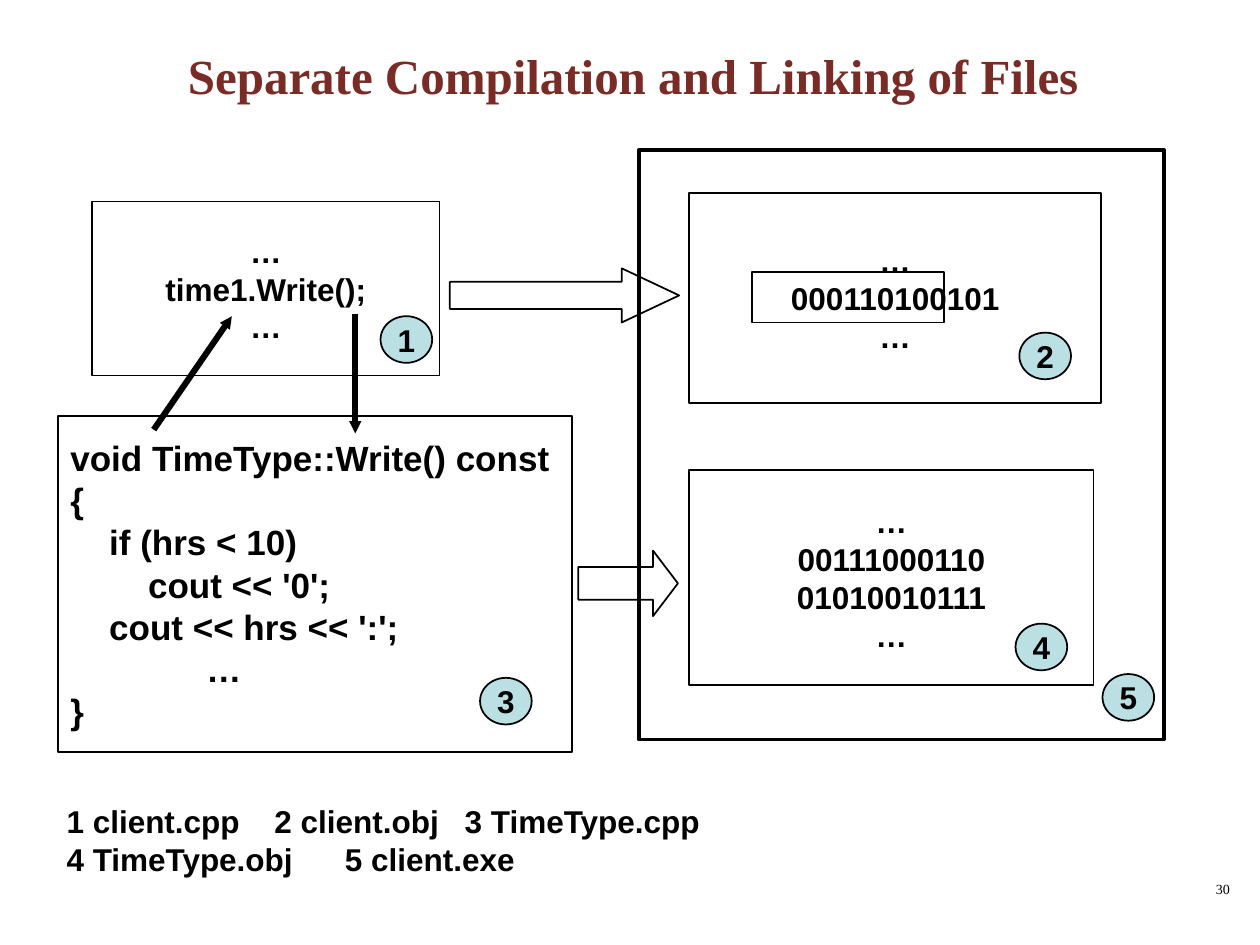
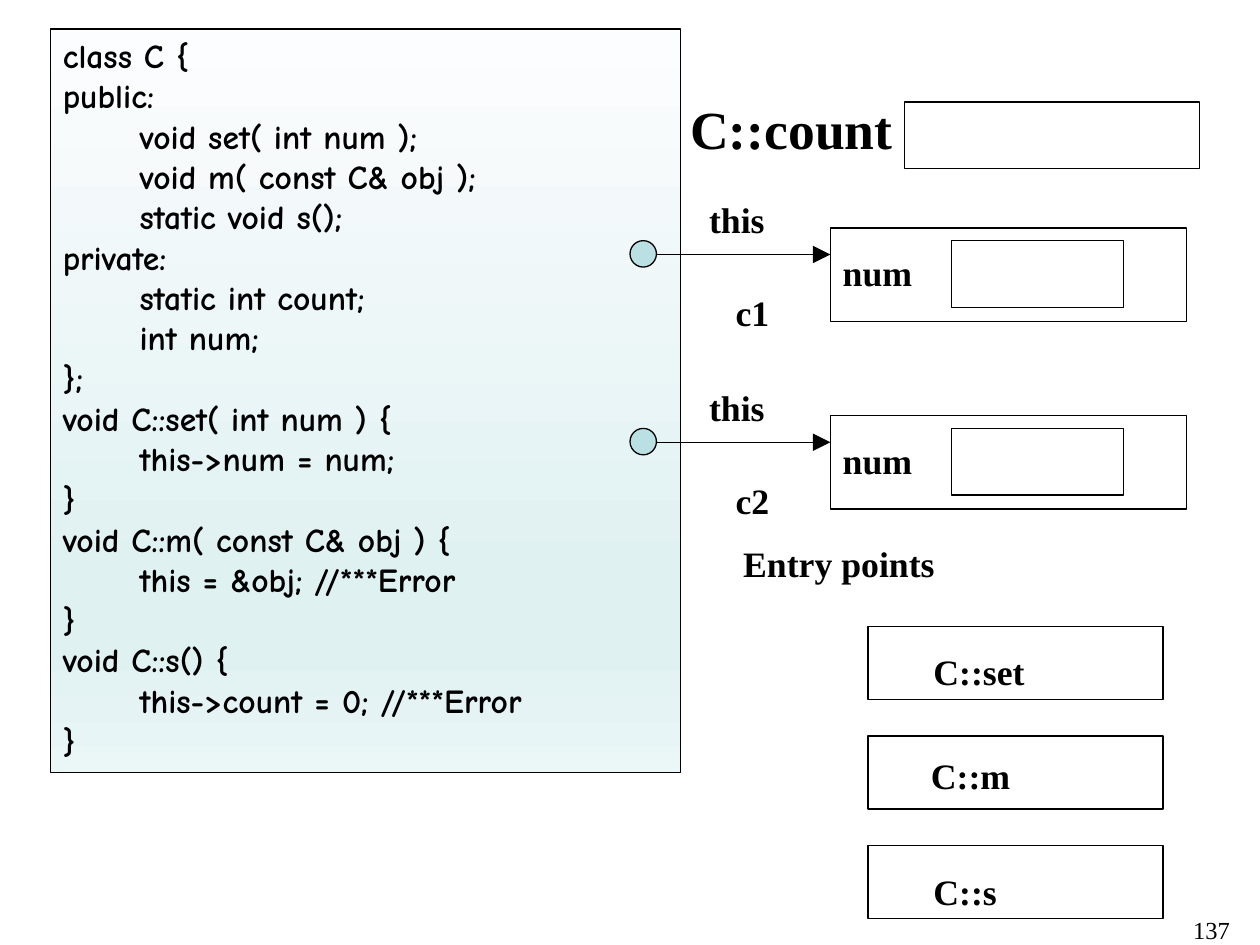
from dataclasses import dataclass
from typing import Any

from lxml import etree
from pptx import Presentation
from pptx.dml.color import RGBColor
from pptx.enum import shapes, text
from pptx.oxml.ns import qn
from pptx.util import Inches, Pt

# Shared look
BLACK, BROWN, TEAL = "000000", "792B25", "BBE0E3"
SANS, SERIF, COMIC = "Arial", "Times New Roman", "Comic Neue"
LEFT, MID, RIGHT = text.PP_ALIGN.LEFT, text.PP_ALIGN.CENTER, text.PP_ALIGN.RIGHT
RECT, OVAL, ARROW = (shapes.MSO_SHAPE.RECTANGLE, shapes.MSO_SHAPE.OVAL,
                     shapes.MSO_SHAPE.RIGHT_ARROW)
TOP, CENTER = text.MSO_ANCHOR.TOP, text.MSO_ANCHOR.MIDDLE
Box = tuple[float, float, float, float]
Point = tuple[float, float]


@dataclass
class Type:
    size: float
    name: str = SERIF
    align: Any = LEFT
    anchor: Any = TOP
    bold: bool = True
    color: str = BLACK
    wrap: bool = False


@dataclass
class Part:
    at: Box
    words: str = ""
    type: Type | None = None
    kind: Any = RECT
    fill: str | None = None
    line: float = 1


BINARY = Type(18, SANS, MID, CENTER)
CODE = Type(20, SANS, LEFT, CENTER)
KEY = Type(18, SANS, LEFT, CENTER)
TITLE = Type(28, SERIF, MID, CENTER, color=BROWN, wrap=True)
LISTING = Type(19.2, COMIC, wrap=True)
LABEL, LARGE = Type(20.4), Type(30.6)


def paint(code: str) -> RGBColor:
    return RGBColor.from_string(code)


def apply(target: Any, values: dict[str, Any]) -> None:
    for name, value in values.items():
        setattr(target, name, value)


def place(shape: Any, at: Box) -> None:
    apply(shape, dict(zip(("left", "top", "width", "height"), map(Inches, at))))


def write(shape: Any, words: str, kind: Type, stops: dict[int, list[float]] | None = None) -> None:
    """Fill a shape with one paragraph a line; stops maps line number to tabs."""
    frame = shape.text_frame
    apply(frame, {"word_wrap": kind.wrap, "vertical_anchor": kind.anchor})
    for row, line in enumerate(words.split("\n")):
        para = frame.paragraphs[0] if row == 0 else frame.add_paragraph()
        para.alignment = kind.align
        if stops and row in stops:
            tabs = etree.SubElement(para._p.get_or_add_pPr(), qn("a:tabLst"))
            for stop in stops[row]:
                etree.SubElement(tabs, qn("a:tab"), pos=str(Inches(stop)), algn="l")
        run = para.add_run()
        run.text = line
        apply(run.font, {"size": Pt(kind.size), "name": kind.name, "bold": kind.bold})
        run.font.color.rgb = paint(kind.color)


def label(slide: Any, at: Box, words: str, kind: Type = LABEL,
          stops: dict[int, list[float]] | None = None) -> None:
    write(slide.shapes.add_textbox(*map(Inches, at)), words, kind, stops)


def draw(slide: Any, part: Part) -> Any:
    shape = slide.shapes.add_shape(part.kind, *map(Inches, part.at))
    shape.shadow.inherit = False
    if part.fill:
        shape.fill.solid()
        shape.fill.fore_color.rgb = paint(part.fill)
    else:
        shape.fill.background()
    shape.line.color.rgb = paint(BLACK)
    shape.line.width = Pt(part.line)
    if part.type:
        write(shape, part.words, part.type)
    return shape


def arrow(slide: Any, start: Point, end: Point, width: float, head: str) -> None:
    link = slide.shapes.add_connector(shapes.MSO_CONNECTOR.STRAIGHT,
                                      *map(Inches, start + end))
    link.line.color.rgb = paint(BLACK)
    link.line.width = Pt(width)
    etree.SubElement(link.line._get_or_add_ln(), qn("a:tailEnd"),
                     type="triangle", w=head, len=head)
    etree.SubElement(link._element.spPr, qn("a:effectLst"))


def shade(shape: Any, stops: list[tuple[int, str]]) -> None:
    """Vertical gradient from (percent, colour) stops."""
    shape.fill.gradient()
    shape.fill.gradient_angle = 270
    group = shape._element.spPr.find(".//" + qn("a:gsLst"))
    for old in list(group):
        group.remove(old)
    for percent, code in stops:
        stop = etree.SubElement(group, qn("a:gs"), pos=str(percent * 1000))
        etree.SubElement(stop, qn("a:srgbClr"), val=code)


def number(slide: Any, at: Box, words: str, size: float) -> None:
    label(slide, at, words, Type(size, align=RIGHT, bold=False, wrap=True))


# Slide 1: compiling and linking
WRITE = """void TimeType::Write() const
{
    if (hrs < 10)
        cout << '0';
    cout << hrs << ':';
              …
}"""
FILES = [
    Part((5.07, 1.19, 4.17, 4.68), line=2),
    Part((5.47, 1.53, 3.27, 1.67), "…\n000110100101\n…", BINARY),
    Part((5.47, 3.73, 3.21, 1.71), "…\n00111000110\n01010010111\n…", BINARY),
    Part((0.73, 1.6, 2.76, 1.38), "…\ntime1.Write();\n…", BINARY),
    Part((0.46, 3.3, 4.08, 2.67), WRITE, CODE),
]
CALLS = [((2.82, 2.49), (2.82, 3.44)), ((1.22, 3.41), (1.84, 2.51))]
STEPS = [((3.57, 2.13, 1.82, 0.43), 1.06), ((4.59, 4.37, 0.79, 0.52), 0.38)]
BADGES = [(3.02, 2.51), (8.09, 2.64), (3.81, 5.38), (8.06, 4.95), (8.75, 5.35)]


def linking(deck: Any) -> None:
    slide = deck.slides.add_slide(deck.slide_layouts[5])
    title = slide.shapes.title
    place(title, (0.78, 0.28, 8.49, 0.63))
    write(title, "Separate Compilation and Linking of Files", TITLE)
    number(slide, (7.78, 6.94, 2.08, 0.5), "30", 8)
    for part in FILES:
        draw(slide, part)
    for start, end in CALLS:
        arrow(slide, start, end, 3.5, "sm")
    for at, point in STEPS:
        draw(slide, Part(at, kind=ARROW)).adjustments[1] = point
    draw(slide, Part((5.97, 2.16, 1.52, 0.4)))
    for count, (left, top) in enumerate(BADGES, 1):
        draw(slide, Part((left, top, 0.41, 0.37), str(count), BINARY, OVAL, TEAL))
    label(slide, (0.43, 6.21, 8.73, 0.91),
          "1 client.cpp\t2 client.obj\t3 TimeType.cpp\n4 TimeType.obj\t5 client.exe",
          KEY, {0: [1.65, 3.16], 1: [2.21]})


# Slide 2: objects and the this pointer
CLASS = """class C {
public:
\tvoid set( int num );
\tvoid m( const C& obj );
\tstatic void s();
private:
\tstatic int count;
\tint num;
};
void C::set( int num ) {
\tthis->num = num;
}
void C::m( const C& obj ) {
\tthis = &obj; //***Error
}
void C::s() {
\tthis->count = 0; //***Error
}"""
SHADES = [(0, "FCFDFE"), (74, "E0F1F2"), (83, "E0F1F2"), (100, "EBF6F7")]
ENTRIES = [("C::set", 7.31, 5.11), ("C::m", 7.29, 5.93), ("C::s", 7.31, 6.85)]
THIN = 0.75


def item(slide: Any, name: str, top: float) -> None:
    """One object with its num field and the this pointer to it."""
    draw(slide, Part((6.59, top, 2.83, 0.74), line=THIN))
    draw(slide, Part((7.55, top + 0.1, 1.37, 0.53), line=THIN))
    label(slide, (6.59, top + 0.13, 0.9, 0.44), "num")
    label(slide, (5.53, top - 0.29, 0.8, 0.44), "this")
    label(slide, (5.74, top + 0.45, 0.6, 0.44), name)
    arrow(slide, (5.21, top + 0.21), (6.59, top + 0.21), THIN, "lg")
    draw(slide, Part((5, top + 0.1, 0.21, 0.21), kind=OVAL, fill=TEAL, line=THIN))


def members(deck: Any) -> None:
    slide = deck.slides.add_slide(deck.slide_layouts[6])
    number(slide, (7.36, 7.21, 2.5, 0.52), "137", 14)
    panel = draw(slide, Part((0.4, 0.23, 5, 5.9), line=THIN))
    shade(panel, SHADES)
    rows = CLASS.split("\n")
    write(panel, CLASS, LISTING,
          {row: [0.61] for row, line in enumerate(rows) if line.startswith("\t")})
    draw(slide, Part((7.18, 0.81, 2.34, 0.53), line=THIN))
    label(slide, (5.38, 0.71, 1.83, 0.62), "C::count", LARGE)
    for row, name in enumerate(("c1", "c2")):
        item(slide, name, 1.81 + 1.49 * row)
    # Entry points
    label(slide, (5.8, 4.25, 2.34, 0.45), "Entry points")
    for row, (name, left, top) in enumerate(ENTRIES):
        draw(slide, Part((6.89, 4.97 + 0.87 * row, 2.34, 0.58), line=THIN))
        label(slide, (left, top, 1.2, 0.45), name)


def main() -> None:
    deck = Presentation()
    apply(deck, {"slide_width": Inches(10), "slide_height": Inches(7.5)})
    linking(deck)
    members(deck)
    deck.save("out.pptx")


if __name__ == "__main__":
    main()
